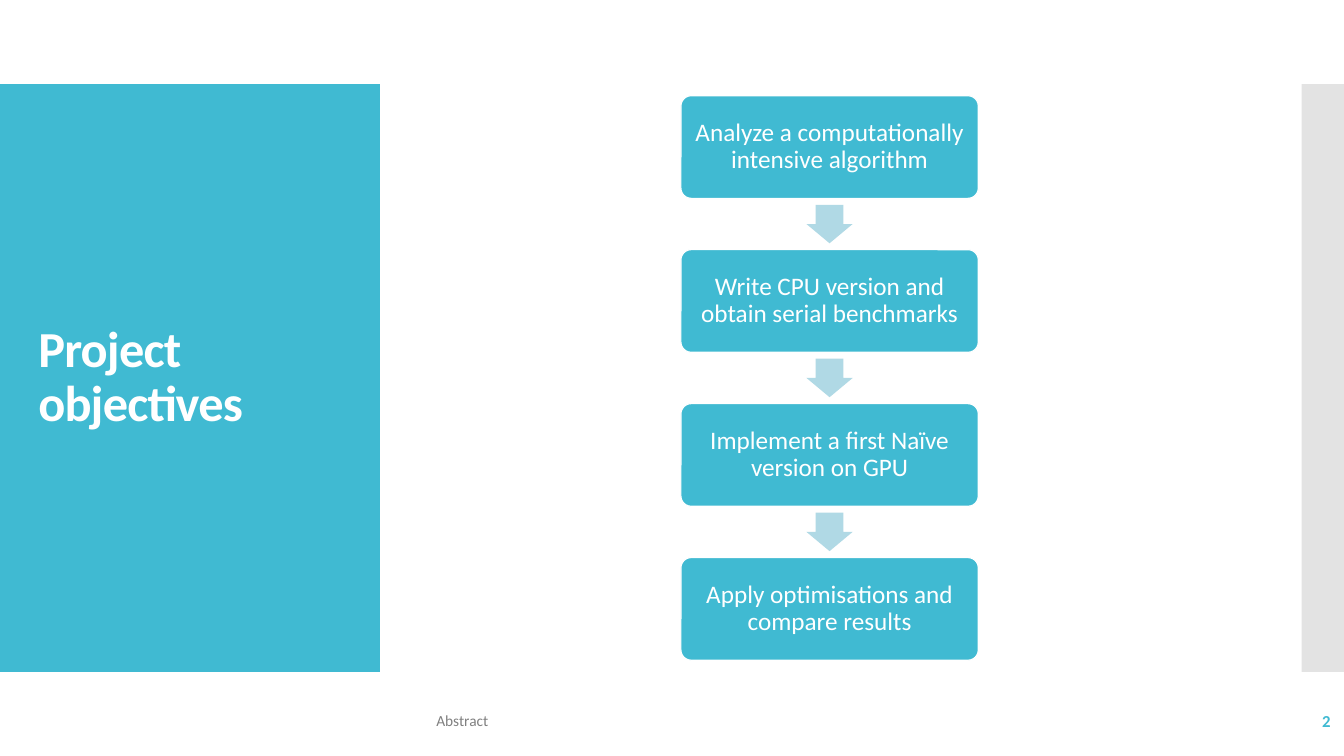
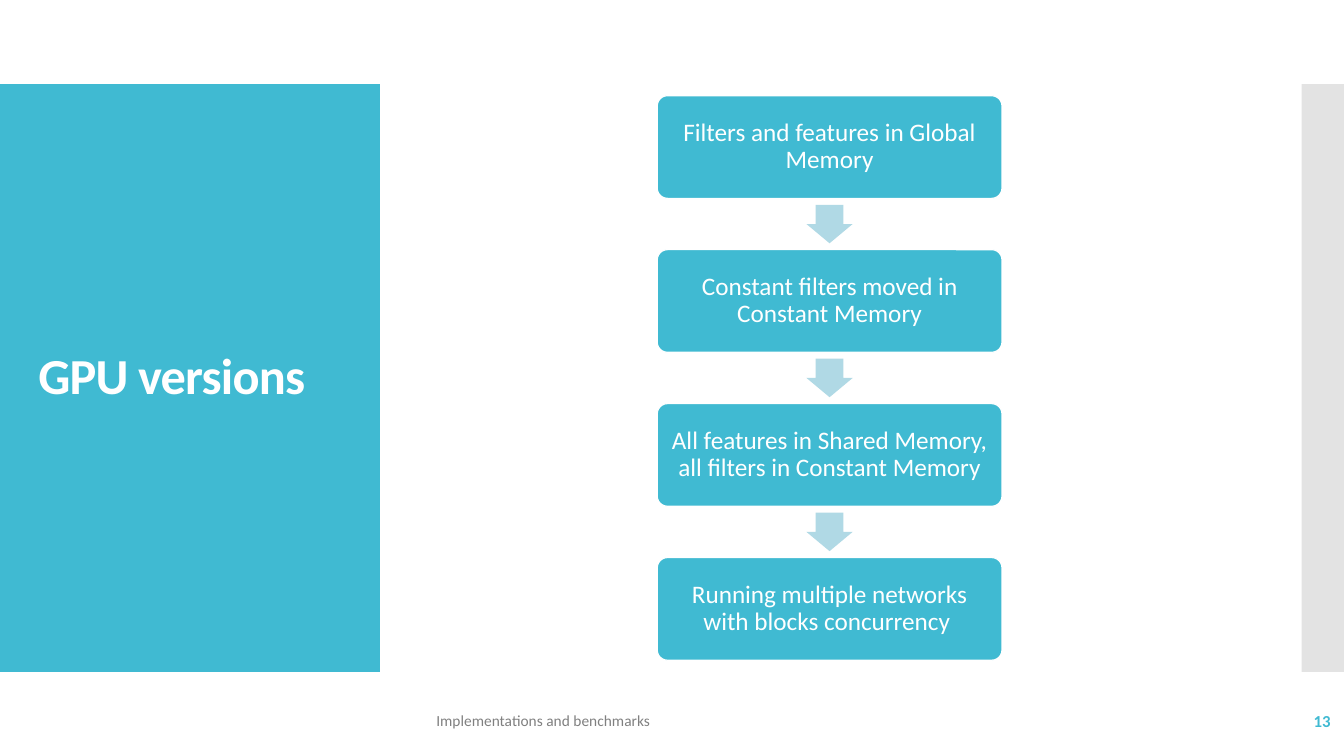
import lxml.etree
import pptx
import pptx.dml.color
import pptx.enum.shapes
import pptx.enum.text
import pptx.oxml.ns
import pptx.util

COLORS = {
    "accent": "40BAD2",
    "arrow": "B0D9E5",
    "edge": "C8C8C8",
    "footer": "808080",
    "white": "FFFFFF",
}
FONT = "Calibri"
SLIDE_WIDTH = pptx.util.Inches(13.333)
SLIDE_HEIGHT = pptx.util.Inches(7.5)
BAND_TOP = SLIDE_HEIGHT / 9
BAND_HEIGHT = SLIDE_HEIGHT * 7 / 9
FLOW_CENTER = pptx.util.Inches(8.23)
FLOW_TOP = pptx.util.Inches(0.95)
FLOW_HEIGHT = pptx.util.Inches(5.6)
FOOTER_TOP = pptx.util.Inches(6.95)
FOOTER_HEIGHT = pptx.util.Inches(0.4)

SHAPES = pptx.enum.shapes.MSO_SHAPE
ALIGN = pptx.enum.text.PP_ALIGN

SLIDES = [
    {
        "title": "Project objectives",
        "step_width": 2.95,
        "steps": [
            "Analyze a computationally intensive algorithm",
            "Write CPU version and obtain serial benchmarks",
            "Implement a first Naïve version on GPU",
            "Apply optimisations and compare results",
        ],
        "footer": "Abstract",
        "number": "2",
    },
    {
        "title": "GPU versions",
        "step_width": 3.42,
        "steps": [
            "Filters and features in Global Memory",
            "Constant filters moved in Constant Memory",
            "All features in Shared Memory, all filters in Constant Memory",
            "Running multiple networks with blocks concurrency ",
        ],
        "footer": "Implementations and benchmarks",
        "number": "13",
    },
]


def rgb(name):
    return pptx.dml.color.RGBColor.from_string(COLORS[name])


def place(shape, left, top, width, height):
    shape.left, shape.top = round(left), round(top)
    shape.width, shape.height = round(width), round(height)


def write(shape, text, size, color, align=ALIGN.LEFT, bold=False, spacing=None):
    frame = shape.text_frame
    frame.text = text
    frame.word_wrap = True
    frame.auto_size = pptx.enum.text.MSO_AUTO_SIZE.NONE
    frame.vertical_anchor = pptx.enum.text.MSO_ANCHOR.MIDDLE
    paragraph = frame.paragraphs[0]
    paragraph.alignment = align
    if spacing:
        paragraph.line_spacing = spacing
    font = paragraph.runs[0].font
    font.name = FONT
    font.size = pptx.util.Pt(size)
    font.bold = bold
    font.color.rgb = rgb(color)


def add_filled(slide, kind, color, left, top, width, height):
    shape = slide.shapes.add_shape(
        kind, round(left), round(top), round(width), round(height))
    shape.shadow.inherit = False
    shape.fill.solid()
    shape.fill.fore_color.rgb = rgb(color)
    shape.line.fill.background()
    return shape


def set_opacity(shape, percent):
    color = shape.element.spPr.find(".//" + pptx.oxml.ns.qn("a:srgbClr"))
    alpha = lxml.etree.SubElement(color, pptx.oxml.ns.qn("a:alpha"))
    alpha.set("val", str(percent * 1000))


def move_bands_to_layout(slide):
    title_band = add_filled(slide, SHAPES.RECTANGLE, "accent", 0, BAND_TOP,
                            pptx.util.Inches(3.77), BAND_HEIGHT)
    edge_width = pptx.util.Inches(0.42)
    edge_band = add_filled(slide, SHAPES.RECTANGLE, "edge", SLIDE_WIDTH - edge_width,
                           BAND_TOP, edge_width, BAND_HEIGHT)
    set_opacity(edge_band, 50)
    for band in (title_band, edge_band):
        slide.slide_layout.shapes.element.append(band.element)


def format_title(slide, text):
    title = slide.shapes.title
    height = pptx.util.Inches(5.03)
    place(title, pptx.util.Inches(0.28), (SLIDE_HEIGHT - height) / 2,
          pptx.util.Inches(3.22), height)
    write(title, text, 36, "white", bold=True, spacing=0.9)
    run = title.text_frame.paragraphs[0].runs[0]
    run.font._element.set("spc", "-60")


def add_step(slide, text, top, width, height):
    step = add_filled(slide, SHAPES.ROUNDED_RECTANGLE, "accent",
                      FLOW_CENTER - width / 2, top, width, height)
    step.adjustments[0] = 0.1
    step.line.color.rgb = rgb("white")
    step.line.width = pptx.util.Pt(0.85)
    write(step, text, 18, "white", ALIGN.CENTER, spacing=0.9)
    frame = step.text_frame
    inset = pptx.util.Inches(0.07)
    frame.margin_left = frame.margin_right = inset
    frame.margin_top = frame.margin_bottom = inset


def add_arrow(slide, top, gap):
    width, height = gap * 0.9, gap * 0.75
    arrow = add_filled(slide, SHAPES.DOWN_ARROW, "arrow", FLOW_CENTER - width / 2,
                       top + (gap - height) / 2, width, height)
    arrow.adjustments[0] = 0.6
    arrow.adjustments[1] = 0.5


def add_flow(slide, steps, width):
    gap = FLOW_HEIGHT / (3 * len(steps) - 1)
    step_height = 2 * gap
    for index, text in enumerate(steps):
        top = FLOW_TOP + index * 3 * gap
        if index:
            add_arrow(slide, top - gap, gap)
        add_step(slide, text, top, width, step_height)


def add_footer_text(slide, text, left, width, size, color, **style):
    box = slide.shapes.add_textbox(pptx.util.Inches(left), FOOTER_TOP,
                                   pptx.util.Inches(width), FOOTER_HEIGHT)
    write(box, text, size, color, **style)


def main():
    presentation = pptx.Presentation()
    presentation.slide_width = SLIDE_WIDTH
    presentation.slide_height = SLIDE_HEIGHT
    layout = presentation.slide_layouts.get_by_name("Title Only")
    for index, content in enumerate(SLIDES):
        slide = presentation.slides.add_slide(layout)
        if index == 0:
            move_bands_to_layout(slide)
        format_title(slide, content["title"])
        add_flow(slide, content["steps"], pptx.util.Inches(content["step_width"]))
        add_footer_text(slide, content["footer"], 4.23, 6.46, 11, "footer")
        add_footer_text(slide, content["number"], 11.63, 1.67, 12, "accent",
                        align=ALIGN.RIGHT, bold=True)
    presentation.save("out.pptx")


if __name__ == "__main__":
    main()
